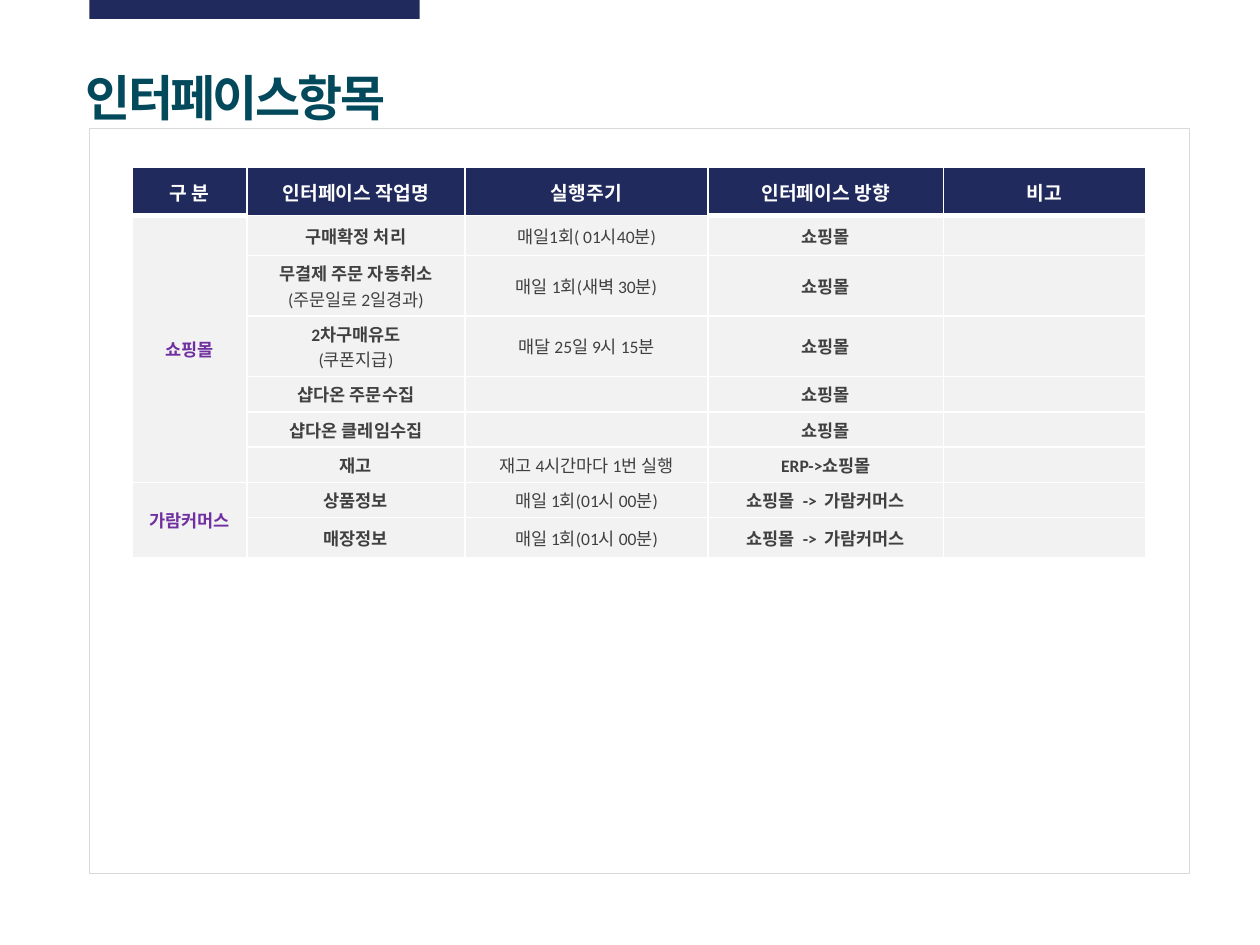
"""Build the slide that lists the interface jobs of a shopping mall in a table."""
from lxml import etree
from pptx import Presentation
from pptx import util as u
from pptx.dml.color import RGBColor
from pptx.enum import shapes, text
from pptx.oxml import ns

NAVY = RGBColor(0x21, 0x2A, 0x5D)
TEAL = RGBColor(0x03, 0x49, 0x5C)
PURPLE = RGBColor(0x70, 0x30, 0xA0)
DARK = RGBColor(0x40, 0x40, 0x40)
PALE = RGBColor(0xF2, 0xF2, 0xF2)
GREY = RGBColor(0xD9, 0xD9, 0xD9)
WHITE = RGBColor(0xFF, 0xFF, 0xFF)

HEADERS = ["구 분", "인터페이스 작업명", "실행주기", "인터페이스 방향", "비고"]
JOBS = [
    ("쇼핑몰", "구매확정 처리", "매일1회( 01시40분)", "쇼핑몰"),
    ("", "무결제 주문 자동취소\v(주문일로 2일경과)", "매일 1회(새벽 30분)", "쇼핑몰"),
    ("", "2차구매유도\v(쿠폰지급)", "매달 25일 9시 15분", "쇼핑몰"),
    ("", "샵다온 주문수집", "", "쇼핑몰"),
    ("", "샵다온 클레임수집", "", "쇼핑몰"),
    ("", "재고", "재고 4시간마다 1번 실행", "ERP->쇼핑몰"),
    ("가람커머스", "상품정보", "매일 1회(01시 00분)", "쇼핑몰  ->  가람커머스"),
    ("", "매장정보", "매일 1회(01시 00분)", "쇼핑몰  ->  가람커머스"),
]
COLUMN_WIDTHS = [0.91, 1.73, 1.93, 1.87, 1.6]
ROW_HEIGHTS = [0.38, 0.32, 0.47, 0.47, 0.27, 0.27, 0.27, 0.27, 0.32]
THICK_COLUMNS = (0, 3, 4)


def write(frame, words, size, color, bold=True, align=text.PP_ALIGN.CENTER, spacing=0):
    """Fill the first paragraph; a second line after a break is not bold."""
    paragraph = frame.paragraphs[0]
    paragraph.alignment = align
    for index, line in enumerate(words.split("\v")):
        if index:
            paragraph.add_line_break()
        if line:
            run = paragraph.add_run()
            run.text = line
            run.font.name = "Calibri"
            run.font.size = u.Pt(size)
            run.font.bold = bold and index == 0
            run.font.color.rgb = color
            if spacing:
                run.font._element.set("spc", str(int(spacing * 100)))
    etree.SubElement(paragraph._p, ns.qn("a:endParaRPr"), sz=str(size * 100))
    return paragraph


def set_borders(cell, **points):
    """Draw white borders of the given widths, placed before the cell's fill."""
    properties = cell._tc.get_or_add_tcPr()
    for index, (side, width) in enumerate(points.items()):
        line = etree.Element(ns.qn(f"a:ln{side}"), w=str(u.Pt(width)))
        fill = etree.SubElement(line, ns.qn("a:solidFill"))
        etree.SubElement(fill, ns.qn("a:srgbClr"), val=str(WHITE))
        properties.insert(index, line)


presentation = Presentation()
presentation.slide_width, presentation.slide_height = u.Inches(10), u.Inches(7.5)
slide = presentation.slides.add_slide(presentation.slide_layouts[5])

for box, fill, outline in [((0.71, 1.02, 8.73, 5.91), WHITE, GREY), ((0.71, 0, 2.62, 0.15), NAVY, None)]:
    shape = slide.shapes.add_shape(shapes.MSO_SHAPE.RECTANGLE, *map(u.Inches, box))
    shape.shadow.inherit = False
    shape.fill.solid()
    shape.fill.fore_color.rgb = fill
    if outline:
        shape.line.color.rgb = outline
        shape.line.width = u.Pt(0.5)
    else:
        shape.line.fill.background()

title = slide.shapes.title
title.left, title.top, title.width, title.height = map(u.Inches, (0.58, 0.37, 8.62, 0.69))
title.text_frame.auto_size = text.MSO_AUTO_SIZE.NONE
title.text_frame.vertical_anchor = text.MSO_ANCHOR.BOTTOM
heading = write(title.text_frame, "인터페이스항목", 28, TEAL, align=text.PP_ALIGN.LEFT, spacing=-1.5)
heading.line_spacing = 0.9

table = slide.shapes.add_table(
    len(ROW_HEIGHTS), len(COLUMN_WIDTHS), u.Inches(1.05), u.Inches(1.33),
    u.Inches(sum(COLUMN_WIDTHS)), u.Inches(sum(ROW_HEIGHTS))).table
for column, width in zip(table.columns, COLUMN_WIDTHS):
    column.width = u.Inches(width)
for row, height in zip(table.rows, ROW_HEIGHTS):
    row.height = u.Inches(height)

for row_index, words in enumerate([HEADERS] + [(*job, "") for job in JOBS]):
    header = row_index == 0
    for column_index, word in enumerate(words):
        cell = table.cell(row_index, column_index)
        cell.fill.solid()
        cell.fill.fore_color.rgb = NAVY if header else PALE
        cell.vertical_anchor = text.MSO_ANCHOR.MIDDLE
        cell.margin_left = cell.margin_right = u.Inches(0.07)
        cell.margin_top = cell.margin_bottom = u.Inches(0.04)
        color = WHITE if header else PURPLE if column_index == 0 else DARK
        write(cell.text_frame, word, 11 if header else 10, color, bold=header or column_index != 2)
        thick = 3 if column_index in THICK_COLUMNS else 1
        set_borders(cell, L=1, R=1, T=thick if row_index == 1 else 1, B=thick if header else 1)

for first, last in [(1, 6), (7, 8)]:
    table.cell(first, 0).merge(table.cell(last, 0))

presentation.save("out.pptx")
